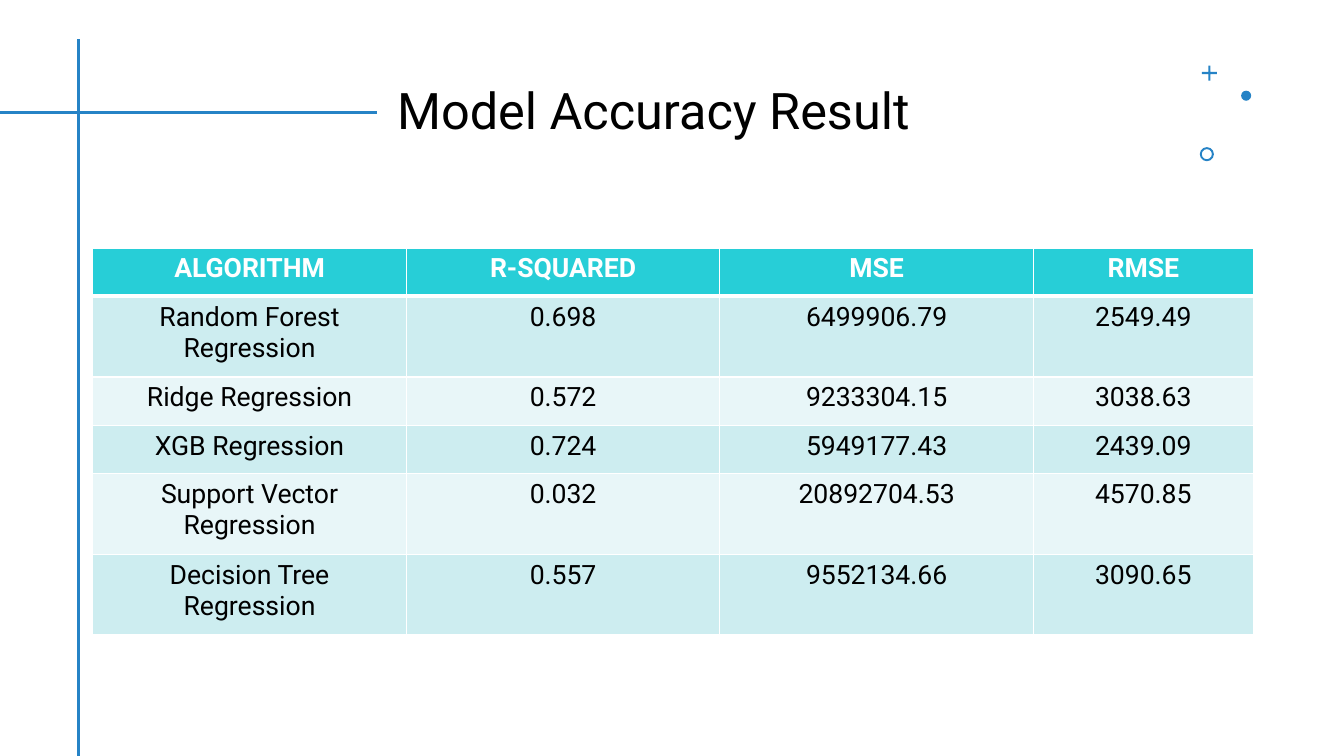
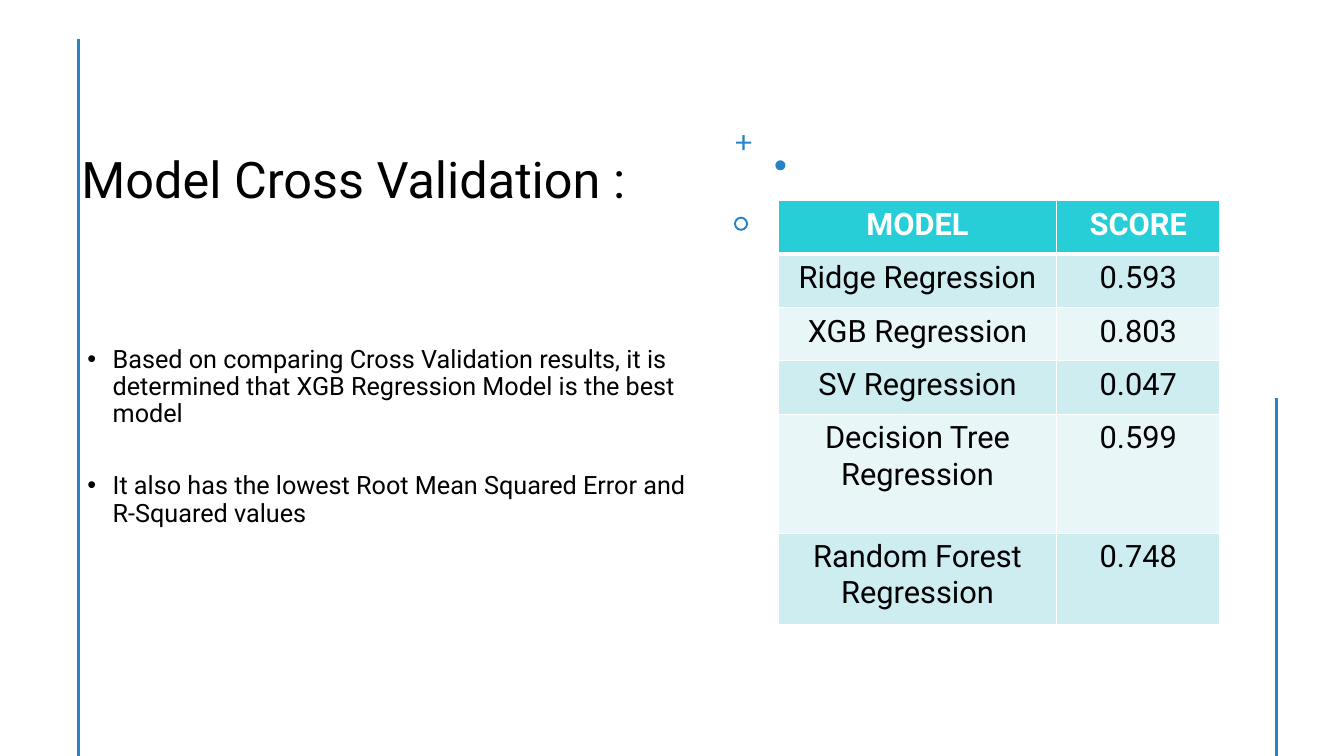
from lxml import etree
from pptx import Presentation
from pptx.dml.color import RGBColor
from pptx.enum.shapes import MSO_CONNECTOR, MSO_SHAPE
from pptx.enum.text import MSO_ANCHOR, PP_ALIGN
from pptx.oxml import parse_xml
from pptx.oxml.ns import nsdecls, qn
from pptx.util import Inches, Pt

COLORS = {
    "accent": "2683C6",
    "header": "27CED7",
    "band_dark": "CDEDF0",
    "band_light": "E8F6F8",
    "white": "FFFFFF",
    "text": "000000",
}
FONT = "Roboto"
SLIDE_HEIGHT = 7.5
SIDE_RULE = (0.78, 0.39, 0.78, SLIDE_HEIGHT)
# Shape, offset from the ornament's corner, size and adjustment
ORNAMENT = [
    (MSO_SHAPE.CROSS, 0, 0, 0.15, 0.43),
    (MSO_SHAPE.OVAL, 0.39, 0.25, 0.1, None),
    (MSO_SHAPE.DONUT, -0.02, 0.81, 0.14, 0.14),
]

SLIDES = [
    {
        "title": "Model Accuracy Result",
        "title_box": (3.84, 0.4, 7.83, 1.45),
        "title_anchor": MSO_ANCHOR.MIDDLE,
        "title_bottom": 0.05,
        "ornament": (11.92, 0.65),
        "rule": (0, 1.12, 3.74, 1.12),
        "bullets": [],
        "table_at": (0.92, 2.46),
        "columns": [3.11, 3.11, 3.11, 2.18],
        "heights": [0.48, 0.8, 0.48, 0.48, 0.8, 0.8],
        "size": 19,
        "margin": 0.05,
        "rows": [
            ("ALGORITHM", "R-SQUARED", "MSE", "RMSE"),
            ("Random Forest Regression", "0.698", "6499906.79", "2549.49"),
            ("Ridge Regression", "0.572", "9233304.15", "3038.63"),
            ("XGB Regression", "0.724", "5949177.43", "2439.09"),
            ("Support Vector Regression", "0.032", "20892704.53", "4570.85"),
            ("Decision Tree Regression", "0.557", "9552134.66", "3090.65"),
        ],
    },
    {
        "title": "Model Cross Validation :",
        "title_box": (0.71, 0.42, 6.46, 2.56),
        "title_anchor": MSO_ANCHOR.BOTTOM,
        "title_bottom": 0.9,
        "ornament": (7.3, 1.34),
        "rule": (12.66, 3.95, 12.66, SLIDE_HEIGHT),
        "bullets": [
            "Based on comparing Cross Validation results, it is determined that "
            "XGB Regression Model is the best model",
            "It also has the lowest Root Mean Squared Error and R-Squared values",
        ],
        "table_at": (7.72, 1.99),
        "columns": [2.76, 1.62],
        "heights": [0.53, 0.53, 0.53, 0.53, 1.18, 0.91],
        "size": 22,
        "margin": 0.06,
        "rows": [
            ("MODEL", "SCORE"),
            ("Ridge Regression", "0.593"),
            ("XGB Regression", "0.803"),
            ("SV Regression", "0.047"),
            ("Decision Tree Regression", "0.599"),
            ("Random Forest Regression", "0.748"),
        ],
    },
]


def write_text(frame, texts, size, color="text", bold=False, align=PP_ALIGN.LEFT,
               spacing=None, after=0, bullet=None):
    """Put one paragraph per text into the frame, all in the same format."""
    frame.word_wrap = True
    for index, text in enumerate(texts):
        paragraph = frame.paragraphs[0] if index == 0 else frame.add_paragraph()
        paragraph.alignment = align
        paragraph.space_after = Pt(after)
        if spacing:
            paragraph.line_spacing = spacing
        if bullet:
            properties = paragraph._p.get_or_add_pPr()
            properties.set("marL", str(Inches(0.31)))
            properties.set("indent", str(Inches(-0.25)))
            etree.SubElement(properties, qn("a:buFont")).set("typeface", "Arial")
            etree.SubElement(properties, qn("a:buChar")).set("char", bullet)
        run = paragraph.add_run()
        run.text = text
        run.font.name = FONT
        run.font.size = Pt(size)
        run.font.bold = bold
        run.font.color.rgb = RGBColor.from_string(COLORS[color])


def set_borders(cell, top, bottom):
    """Draw white borders, 1 pt at the sides and as given above and below."""
    properties = cell._tc.get_or_add_tcPr()
    widths = {"lnL": 1, "lnR": 1, "lnT": top, "lnB": bottom}
    for index, (side, width) in enumerate(widths.items()):
        properties.insert(index, parse_xml(
            f'<a:{side} {nsdecls("a")} w="{Pt(width)}"><a:solidFill>'
            f'<a:srgbClr val="{COLORS["white"]}"/></a:solidFill></a:{side}>'))


presentation = Presentation()
presentation.slide_width = Inches(13.33)
presentation.slide_height = Inches(SLIDE_HEIGHT)

for content in SLIDES:
    slide = presentation.slides.add_slide(presentation.slide_layouts[6])
    shapes = slide.shapes

    for ends in (SIDE_RULE, content["rule"]):
        rule = shapes.add_connector(MSO_CONNECTOR.STRAIGHT, *map(Inches, ends))
        rule.line.color.rgb = RGBColor.from_string(COLORS["accent"])
        rule.line.width = Pt(2)
        etree.SubElement(rule._element.spPr, qn("a:effectLst"))

    title = shapes.add_textbox(*map(Inches, content["title_box"])).text_frame
    title.vertical_anchor = content["title_anchor"]
    title.margin_bottom = Inches(content["title_bottom"])
    write_text(title, [content["title"]], 36, spacing=0.9)

    left, top = content["ornament"]
    for preset, across, down, size, adjustment in ORNAMENT:
        shape = shapes.add_shape(preset, Inches(left + across), Inches(top + down),
                                 Inches(size), Inches(size))
        if adjustment:
            shape.adjustments[0] = adjustment
        shape.shadow.inherit = False
        shape.fill.solid()
        shape.fill.fore_color.rgb = RGBColor.from_string(COLORS["accent"])
        shape.line.fill.background()

    if content["bullets"]:
        body = shapes.add_textbox(Inches(0.71), Inches(3.39), Inches(6.46), Inches(3.16))
        write_text(body.text_frame, content["bullets"], 18, spacing=0.9, after=32, bullet="•")

    columns, heights, rows = content["columns"], content["heights"], content["rows"]
    table = shapes.add_table(len(rows), len(columns), *map(Inches, content["table_at"]),
                             Inches(sum(columns)), Inches(sum(heights))).table
    table.horz_banding = False
    for column, width in zip(table.columns, columns):
        column.width = Inches(width)
    for row_index, (row, height, values) in enumerate(zip(table.rows, heights, rows)):
        row.height = Inches(height)
        is_header = row_index == 0
        band = "header" if is_header else "band_dark" if row_index % 2 else "band_light"
        for cell, value in zip(row.cells, values):
            cell.margin_left = cell.margin_right = Inches(0.11)
            cell.margin_top = cell.margin_bottom = Inches(content["margin"])
            cell.fill.solid()
            cell.fill.fore_color.rgb = RGBColor.from_string(COLORS[band])
            set_borders(cell, top=3 if row_index == 1 else 1, bottom=3 if is_header else 1)
            write_text(cell.text_frame, [value], content["size"], bold=is_header,
                       color="white" if is_header else "text", align=PP_ALIGN.CENTER)

presentation.save("out.pptx")
